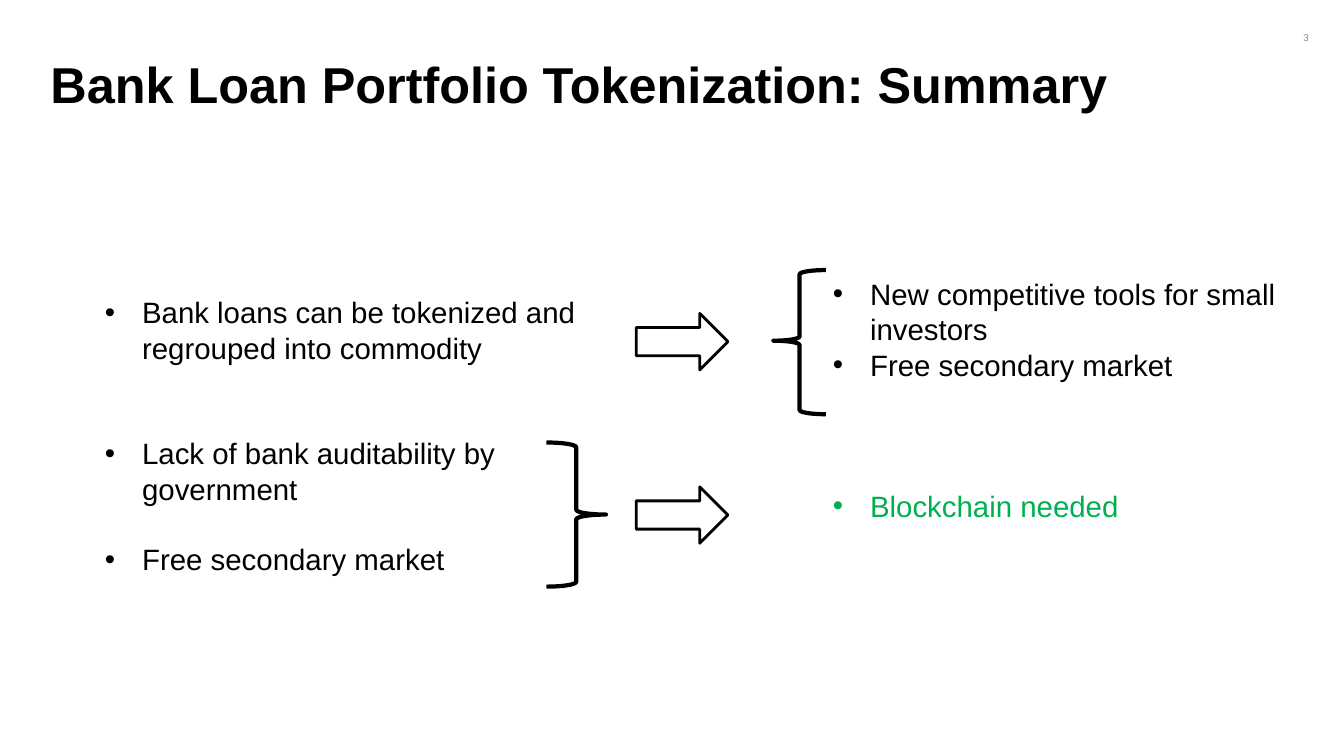
from lxml import etree
from pptx import Presentation
from pptx.dml.color import RGBColor
from pptx.enum.shapes import MSO_SHAPE
from pptx.enum.text import MSO_ANCHOR, PP_ALIGN
from pptx.oxml.ns import qn
from pptx.util import Inches, Pt

BLACK = RGBColor(0x00, 0x00, 0x00)
WHITE = RGBColor(0xFF, 0xFF, 0xFF)
GRAY = RGBColor(0x88, 0x88, 0x88)
GREEN = RGBColor(0x00, 0xB0, 0x50)

FONT = "Arial"
BODY_SIZE = 21
LINE_PITCH = 25.2

ARROW = MSO_SHAPE.RIGHT_ARROW
LEFT_BRACE = MSO_SHAPE.LEFT_BRACE
RIGHT_BRACE = MSO_SHAPE.RIGHT_BRACE
TOP, BOTTOM = MSO_ANCHOR.TOP, MSO_ANCHOR.BOTTOM
LEFT, RIGHT = PP_ALIGN.LEFT, PP_ALIGN.RIGHT


def add_text_frame(slide, left, top, width, height, inset_x=0, inset_y=0):
    box = slide.shapes.add_textbox(
        Inches(left), Inches(top), Inches(width), Inches(height))
    text_frame = box.text_frame
    text_frame.word_wrap = True
    text_frame.margin_left = text_frame.margin_right = Inches(inset_x)
    text_frame.margin_top = text_frame.margin_bottom = Inches(inset_y)
    return text_frame


def style_paragraph(paragraph, size, color, bold=False):
    for run in paragraph.runs:
        run.font.name = FONT
        run.font.size = Pt(size)
        run.font.bold = bold
        run.font.color.rgb = color


def add_line(slide, text, place, size, color, bold=False, align=LEFT, anchor=TOP):
    text_frame = add_text_frame(slide, *place)
    text_frame.text = text
    text_frame.vertical_anchor = anchor
    paragraph = text_frame.paragraphs[0]
    paragraph.alignment = align
    style_paragraph(paragraph, size, color, bold)


def add_bullet(paragraph, color):
    properties = paragraph._p.get_or_add_pPr()
    properties.set("marL", str(Inches(0.38)))
    properties.set("indent", str(-Inches(0.37)))
    bullet_color = etree.SubElement(properties, qn("a:buClr"))
    etree.SubElement(bullet_color, qn("a:srgbClr"), val=str(color))
    etree.SubElement(properties, qn("a:buFont"), typeface=FONT)
    etree.SubElement(properties, qn("a:buChar"), char="•")


def add_bullet_list(slide, place, items):
    """Each item is its text, the free lines above it and its color."""
    text_frame = add_text_frame(slide, *place, inset_x=0.06, inset_y=0.03)
    for index, (text, lines_above, color) in enumerate(items):
        paragraph = text_frame.add_paragraph() if index else text_frame.paragraphs[0]
        paragraph.text = text
        paragraph.line_spacing = Pt(LINE_PITCH)
        paragraph.space_before = Pt(LINE_PITCH * lines_above)
        add_bullet(paragraph, color)
        style_paragraph(paragraph, BODY_SIZE, color)


def add_outline_shape(slide, kind, place, adjustments, line_width, fill=None):
    shape = slide.shapes.add_shape(kind, *[Inches(value) for value in place])
    shape.shadow.inherit = False
    for index, value in enumerate(adjustments):
        shape.adjustments[index] = value
    if fill is None:
        shape.fill.background()
    else:
        shape.fill.solid()
        shape.fill.fore_color.rgb = fill
    shape.line.color.rgb = BLACK
    shape.line.width = Pt(line_width)


def main():
    presentation = Presentation()
    presentation.slide_width = Inches(13.33)
    presentation.slide_height = Inches(7.5)
    slide = presentation.slides.add_slide(presentation.slide_layouts[6])

    add_line(slide, "3", (12.58, 0.31, 0.4, 0.12), 7, GRAY, align=RIGHT)
    add_line(slide, "Bank Loan Portfolio Tokenization: Summary",
             (0.5, 0.52, 12.68, 0.61), 36, BLACK, bold=True, anchor=BOTTOM)

    add_bullet_list(slide, (0.97, 2.89, 5.14, 2.89), [
        ("Bank loans can be tokenized and regrouped into commodity", 0, BLACK),
        ("Lack of bank auditability by government", 2, BLACK),
        ("Free secondary market", 1, BLACK),
    ])
    add_bullet_list(slide, (8.19, 2.71, 5.14, 2.54), [
        ("New competitive tools for small investors", 0, BLACK),
        ("Free secondary market", 0, BLACK),
        ("Blockchain needed", 3, GREEN),
    ])

    for arrow_top in (3.11, 4.83):
        add_outline_shape(slide, ARROW, (6.31, arrow_top, 0.91, 0.56),
                          (0.5, 0.5), 2, WHITE)
    add_outline_shape(slide, RIGHT_BRACE, (5.42, 4.39, 0.59, 1.43), (0.08, 0.5), 3)
    add_outline_shape(slide, LEFT_BRACE, (7.67, 2.68, 0.52, 1.43), (0.08, 0.49), 3)

    presentation.save("out.pptx")


if __name__ == "__main__":
    main()
